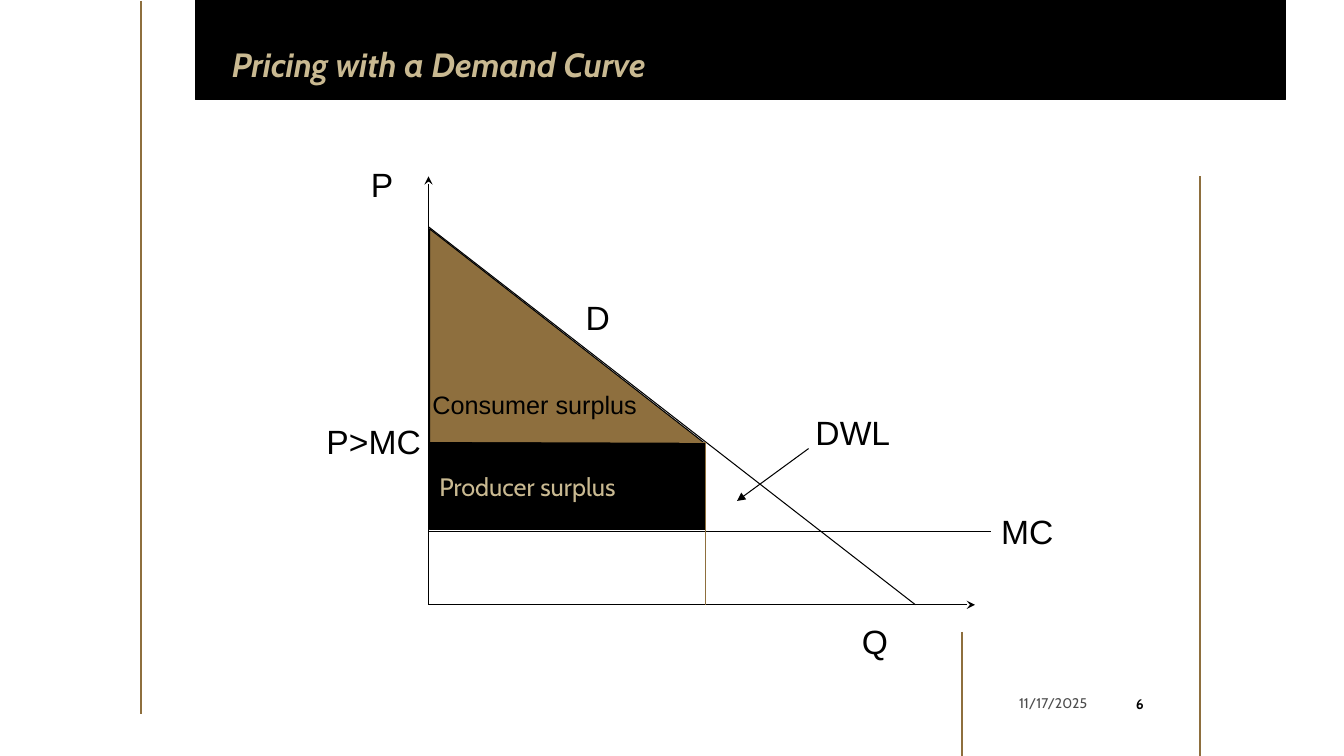
from lxml.etree import SubElement
from pptx import Presentation
from pptx.dml.color import RGBColor
from pptx.enum.shapes import MSO_CONNECTOR, MSO_SHAPE
from pptx.enum.text import MSO_ANCHOR, MSO_AUTO_SIZE, PP_ALIGN
from pptx.oxml.ns import qn
from pptx.util import Pt

EMU_PER_PX = 9144
BLACK = "000000"
GRAY = "4D4D4D"
GOLD = "C9B991"
BRONZE = "8E6F3E"

AXIS_X, AXIS_Y = 425, 600
PRICE_Y, COST_Y = 439, 527
QUANTITY_X = 700


def px(length):
    return length * EMU_PER_PX


def color(hex_text):
    return RGBColor.from_string(hex_text)


def format_text(text_frame, size, font_name, hex_text, bold=False, italic=False):
    for paragraph in text_frame.paragraphs:
        for run in paragraph.runs:
            run.font.size = Pt(size)
            run.font.name = font_name
            run.font.bold = bold
            run.font.italic = italic
            run.font.color.rgb = color(hex_text)


def paint(shape, fill, line_width):
    shape.shadow.inherit = False
    shape.fill.solid()
    shape.fill.fore_color.rgb = color(fill)
    shape.line.color.rgb = color(BLACK)
    shape.line.width = Pt(line_width)


def add_box(slide, left, top, width, height, line_width):
    box = slide.shapes.add_shape(
        MSO_SHAPE.RECTANGLE, px(left), px(top), px(width), px(height)
    )
    paint(box, BLACK, line_width)
    return box


def add_line(slide, start, end, hex_text=BLACK, width=0.75, arrow=None):
    line = slide.shapes.add_connector(
        MSO_CONNECTOR.STRAIGHT, px(start[0]), px(start[1]), px(end[0]), px(end[1])
    )
    line.line.color.rgb = color(hex_text)
    line.line.width = Pt(width)
    if arrow:
        SubElement(line.line._get_or_add_ln(), qn("a:tailEnd"), type=arrow)
    SubElement(line.element.spPr, qn("a:effectLst"))


def add_label(slide, text, left, top, width, height, size=24):
    label = slide.shapes.add_textbox(px(left), px(top), px(width), px(height))
    label.text_frame.text = text
    label.text_frame.word_wrap = False
    label.text_frame.auto_size = MSO_AUTO_SIZE.SHAPE_TO_FIT_TEXT
    format_text(label.text_frame, size, "Arial", BLACK)


def add_footer(slide, text, left, top, width, height, alignment, hex_text, bold):
    footer = slide.shapes.add_textbox(px(left), px(top), px(width), px(height))
    text_frame = footer.text_frame
    text_frame.text = text
    text_frame.word_wrap = True
    text_frame.vertical_anchor = MSO_ANCHOR.MIDDLE
    text_frame.paragraphs[0].alignment = alignment
    format_text(text_frame, 10, "Cabin", hex_text, bold)


def add_title(slide, text):
    band = add_box(slide, 194, 0, 1081, 99, 1)
    title = slide.shapes.title
    band.element.addnext(title.element)
    title.left, title.top, title.width, title.height = map(px, (230, 48, 874, 36))
    text_frame = title.text_frame
    text_frame.text = text
    text_frame.margin_left = text_frame.margin_right = 0
    text_frame.margin_top = text_frame.margin_bottom = 0
    text_frame.vertical_anchor = MSO_ANCHOR.MIDDLE
    text_frame.paragraphs[0].alignment = PP_ALIGN.LEFT
    text_frame.paragraphs[0].line_spacing = 0.9
    format_text(text_frame, 24, "Cabin", GOLD, bold=True, italic=True)


def add_producer_surplus(slide):
    box = add_box(slide, 426, 440, 274, 85, 0.75)
    text_frame = box.text_frame
    text_frame.text = "Producer surplus"
    text_frame.word_wrap = True
    text_frame.vertical_anchor = MSO_ANCHOR.MIDDLE
    text_frame.paragraphs[0].alignment = PP_ALIGN.LEFT
    format_text(text_frame, 18, "Cabin", GOLD)


def add_consumer_surplus(slide):
    builder = slide.shapes.build_freeform(426, PRICE_Y, scale=EMU_PER_PX)
    builder.add_line_segments([(426, 227), (698, PRICE_Y)], close=True)
    paint(builder.convert_to_shape(), BRONZE, 0.75)
    add_label(slide, "Consumer surplus", 419, 381, 225, 40, size=18)


def add_demand_chart(slide):
    origin = (AXIS_X, AXIS_Y)
    add_line(slide, origin, (AXIS_X, 175), arrow="stealth")
    add_line(slide, origin, (967, AXIS_Y), arrow="stealth")
    add_line(slide, (AXIS_X, 225), (908, AXIS_Y))
    add_line(slide, (AXIS_X, COST_Y), (983, COST_Y))
    add_producer_surplus(slide)
    add_consumer_surplus(slide)
    add_line(slide, (QUANTITY_X, PRICE_Y), (428, 438), BRONZE, 0.5)
    add_line(slide, (QUANTITY_X, PRICE_Y), (QUANTITY_X, AXIS_Y), BRONZE, 0.5)
    add_line(slide, (802, 445), (731, 497), arrow="triangle")
    for text, left, top, width in (
        ("P", 358, 158, 42),
        ("MC", 983, 502, 72),
        ("D", 571, 290, 44),
        ("Q", 845, 611, 46),
        ("P>MC", 314, 413, 114),
        ("DWL", 799, 404, 94),
    ):
        add_label(slide, text, left, top, width, 50)


def main():
    presentation = Presentation()
    presentation.slide_width = px(1333)
    presentation.slide_height = px(750)
    slide = presentation.slides.add_slide(presentation.slide_layouts[5])
    add_title(slide, "Pricing with a Demand Curve")
    for x, top, bottom in ((140, 1, 708), (954, 627, 750), (1190, 175, 750)):
        add_line(slide, (x, top), (x, bottom), BRONZE, 1)
    add_demand_chart(slide)
    add_footer(slide, "11/17/2025", 976, 680, 112, 35, PP_ALIGN.RIGHT, GRAY, False)
    add_footer(slide, "6", 1104, 678, 53, 40, PP_ALIGN.CENTER, BLACK, True)
    presentation.save("out.pptx")


if __name__ == "__main__":
    main()
